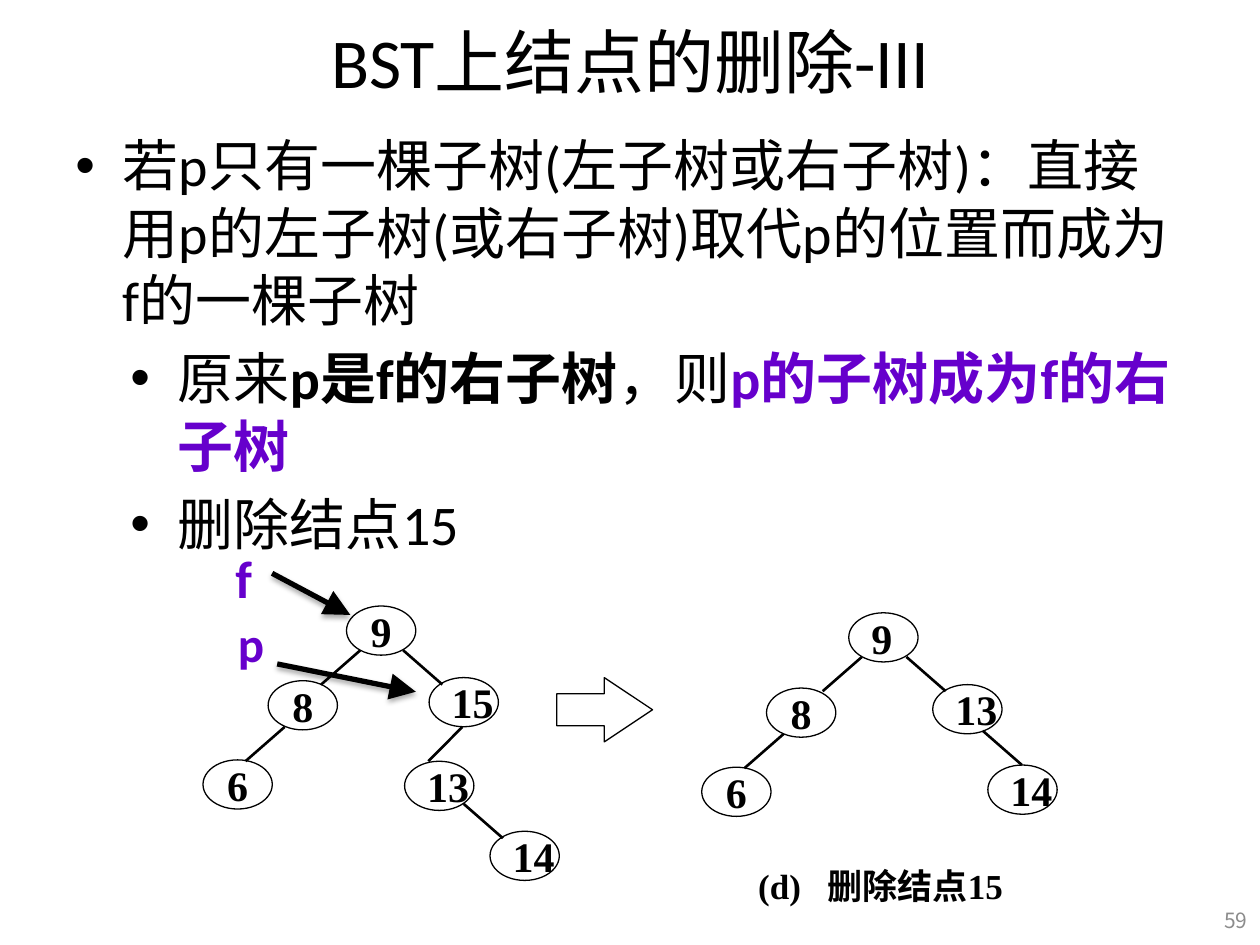
"""Build the slide on deleting a binary search tree node that has one subtree."""
import pptx
import pptx.dml.color
import pptx.enum.shapes
import pptx.enum.text
import pptx.oxml.ns
import pptx.util
from lxml import etree

Pt = pptx.util.Pt
RGBColor = pptx.dml.color.RGBColor
Align = pptx.enum.text.PP_ALIGN
Anchor = pptx.enum.text.MSO_ANCHOR
Shape = pptx.enum.shapes.MSO_SHAPE
qn = pptx.oxml.ns.qn

BLACK = RGBColor(0x00, 0x00, 0x00)
PURPLE = RGBColor(0x66, 0x00, 0xCC)
GRAY = RGBColor(0x8C, 0x8C, 0x8C)

NODE_WIDTH, NODE_HEIGHT = 39.6, 28.1
EDGE_DX, EDGE_DY = 22.4, 19.6

BODY = [
    (27, [("若p只有一棵子树(左子树或右子树)：直接用p的左子树(或右子树)取代p的位置而成为f的一棵子树", False, BLACK)]),
    (58.5, [("原来", False, BLACK), ("p是f的右子树", True, BLACK), ("，则", False, BLACK),
            ("p的子树成为f的右子树", True, PURPLE)]),
    (58.5, [("删除结点15", False, BLACK)]),
]
TREE_BEFORE = {
    "nodes": [("9", 198, 346.3, Align.CENTER), ("8", 153.2, 389, Align.CENTER),
              ("6", 116, 434.2, Align.CENTER), ("15", 245.2, 387.2, Align.LEFT),
              ("13", 231.2, 435, Align.LEFT), ("14", 280, 475, Align.LEFT)],
    "edges": [(205.9, 371.6, -EDGE_DX), (230.4, 371.6, EDGE_DX), (162.7, 415.4, -EDGE_DX),
              (264.2, 415.4, -19.4), (265, 459.4, EDGE_DX)],
}
TREE_AFTER = {
    "nodes": [("9", 485, 350.2, Align.LEFT), ("8", 438, 393.2, Align.CENTER),
              ("6", 401, 438.4, Align.CENTER), ("13", 533, 391.2, Align.LEFT),
              ("14", 564.5, 437.2, Align.LEFT)],
    "edges": [(492.5, 375.4, -EDGE_DX), (518, 375.4, EDGE_DX), (447.8, 419.4, -EDGE_DX),
              (561.6, 417.6, EDGE_DX)],
}


class SlideBuilder:
    """Hold the slide style and draw each kind of element."""

    def __init__(self, slide, font="Calibri", asian_font="Noto Sans CJK SC"):
        self.slide = slide
        self.font = font
        self.asian_font = asian_font

    def style(self, paragraph, size, color=BLACK, bold=False, font=None, align=Align.LEFT):
        paragraph.alignment = align
        paragraph.font.size = Pt(size)
        paragraph.font.bold = bold
        paragraph.font.color.rgb = color
        paragraph.font.name = font or self.font
        default = paragraph._p.pPr.find(qn("a:defRPr"))
        etree.SubElement(default, qn("a:ea"), typeface=self.asian_font)

    def text(self, text, left, top, width, height, size, wrap=True, anchor=Anchor.MIDDLE, **style):
        box = self.slide.shapes.add_textbox(Pt(left), Pt(top), Pt(width), Pt(height))
        frame = box.text_frame
        frame.word_wrap = wrap
        frame.vertical_anchor = anchor
        paragraph = frame.paragraphs[0]
        paragraph.add_run().text = text
        self.style(paragraph, size, **style)
        return box

    def bullets(self, items, left, top, width, height, size):
        box = self.slide.shapes.add_textbox(Pt(left), Pt(top), Pt(width), Pt(height))
        frame = box.text_frame
        frame.word_wrap = True
        for index, (margin, runs) in enumerate(items):
            paragraph = frame.add_paragraph() if index else frame.paragraphs[0]
            self.style(paragraph, size)
            paragraph.space_before = Pt(size * 0.2)
            properties = paragraph._p.pPr
            properties.set("marL", str(Pt(margin)))
            properties.set("indent", str(Pt(-27)))
            default = properties.find(qn("a:defRPr"))
            for tag, name, value in (("a:buFont", "typeface", "Arial"), ("a:buChar", "char", "•")):
                bullet = etree.Element(qn(tag))
                bullet.set(name, value)
                default.addprevious(bullet)
            for text, bold, color in runs:
                run = paragraph.add_run()
                run.text = text
                run.font.bold = bold
                run.font.color.rgb = color

    def outline(self, kind, left, top, width, height):
        shape = self.slide.shapes.add_shape(kind, Pt(left), Pt(top), Pt(width), Pt(height))
        shape.shadow.inherit = False
        shape.fill.background()
        shape.line.color.rgb = BLACK
        shape.line.width = Pt(0.75)
        return shape

    def node(self, label, left, top, align):
        shape = self.outline(Shape.OVAL, left, top, NODE_WIDTH, NODE_HEIGHT)
        shape.text_frame.word_wrap = False
        shape.text_frame.vertical_anchor = Anchor.MIDDLE
        paragraph = shape.text_frame.paragraphs[0]
        paragraph.add_run().text = label
        self.style(paragraph, 24, bold=True, font="Times New Roman", align=align)

    def line(self, start, end, width):
        connector = self.slide.shapes.add_connector(
            pptx.enum.shapes.MSO_CONNECTOR.STRAIGHT, *map(Pt, start), *map(Pt, end))
        connector.line.color.rgb = BLACK
        connector.line.width = Pt(width)
        effects = etree.SubElement(connector._element.spPr, qn("a:effectLst"))
        return connector, effects

    def pointer(self, start, end):
        connector, effects = self.line(start, end, 3)
        etree.SubElement(connector.line._get_or_add_ln(), qn("a:tailEnd"), type="triangle",
                         w="lg", len="lg")
        shadow = etree.SubElement(effects, qn("a:outerShdw"), blurRad=str(Pt(3.1)),
                                  dist=str(Pt(1.8)), dir="5400000", rotWithShape="0")
        color = etree.SubElement(shadow, qn("a:srgbClr"), val=str(BLACK))
        etree.SubElement(color, qn("a:alpha"), val="35000")

    def tree(self, nodes, edges):
        for node in nodes:
            self.node(*node)
        for left, top, run in edges:
            self.line((left, top), (left + run, top + EDGE_DY), 1.5)

    def caption(self, text, left, top, width, height, tab):
        box = self.text(text, left, top, width, height, 20, bold=True, font="Times New Roman")
        box.text_frame.margin_right = 0
        default = box.text_frame.paragraphs[0]._p.pPr.find(qn("a:defRPr"))
        tabs = etree.Element(qn("a:tabLst"))
        etree.SubElement(tabs, qn("a:tab"), pos=str(Pt(tab)), algn="l")
        default.addprevious(tabs)


def main():
    presentation = pptx.Presentation()
    presentation.slide_width, presentation.slide_height = Pt(720), Pt(540)
    builder = SlideBuilder(presentation.slides.add_slide(presentation.slide_layouts[6]))

    builder.text("BST上结点的删除-III", 36, -2, 648, 73.5, 40, align=Align.CENTER)
    builder.bullets(BODY, 36, 71.3, 648, 459.4, 32)
    builder.text("59", 689, 511.2, 31, 28.8, 12, color=GRAY, font="Noto Sans CJK SC",
                 align=Align.RIGHT)

    arrow = builder.outline(Shape.RIGHT_ARROW, 318.2, 387.2, 54.7, 36.7)
    arrow.adjustments[0], arrow.adjustments[1] = 0.5, 0.75
    builder.tree(**TREE_BEFORE)
    builder.caption("(d)\t删除结点15", 426.2, 491.8, 162, 28, 39.6)
    builder.tree(**TREE_AFTER)

    label = {"wrap": False, "anchor": Anchor.TOP, "color": PURPLE, "bold": True}
    builder.text("p", 128.9, 347, 29.5, 41, 28, **label)
    builder.pointer((158.4, 379.4), (237.6, 395.3))
    builder.pointer((155.5, 327.6), (200.2, 351.4))
    builder.text("f", 127.4, 308.2, 24.5, 43.9, 30, **label)

    presentation.save("out.pptx")


if __name__ == "__main__":
    main()
